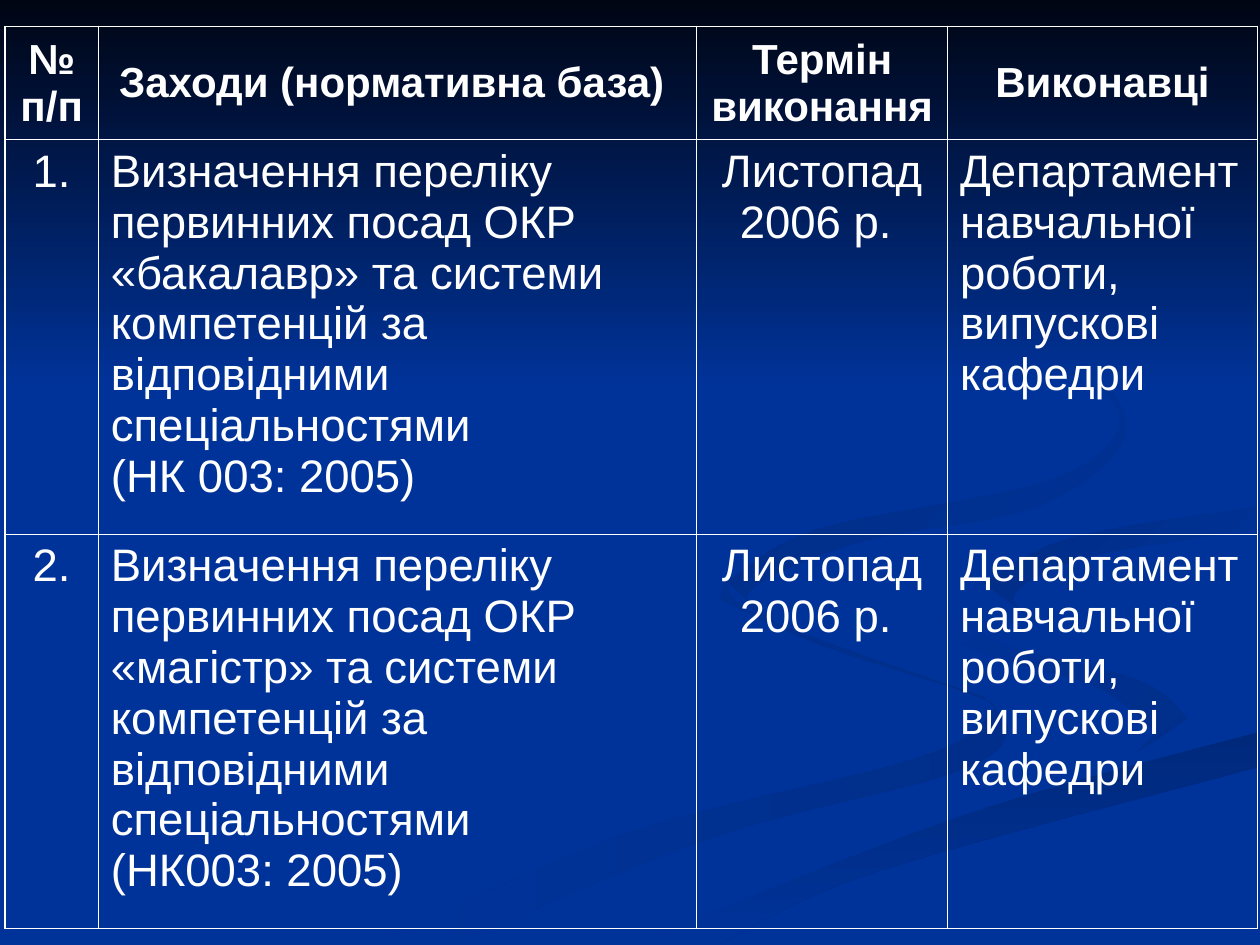
from lxml import etree
from pptx import Presentation
from pptx.dml.color import RGBColor
from pptx.enum.shapes import MSO_SHAPE
from pptx.enum.text import MSO_ANCHOR, PP_ALIGN
from pptx.oxml.ns import qn
from pptx.util import Inches, Pt

LEFT, CENTER = PP_ALIGN.LEFT, PP_ALIGN.CENTER
TOP, MIDDLE = MSO_ANCHOR.TOP, MSO_ANCHOR.MIDDLE
RECTANGLE = MSO_SHAPE.RECTANGLE

COLORS = {
    "background": "003399",
    "night": "000514",
    "shade_soft": "002E8A",
    "shade_deep": "00297C",
    "shade_tail": "002C85",
    "shade_loop": "002B81",
    "white": "FFFFFF",
}

FONT = "Arial"
OUTER_LINE, INNER_LINE = 1.08, 0.45
COLUMN_WIDTHS = [0.74, 4.75, 1.99, 2.46]
ROW_HEIGHTS = [0.9, 3.13, 3.13]
COLUMN_ALIGNMENTS = [CENTER, LEFT, CENTER, LEFT]
TERM = "Листопад 2006 р. "
EXECUTORS = "Департамент навчальної роботи, випускові кафедри"
MEASURE = ("Визначення переліку первинних посад ОКР «{}» та системи компетенцій "
           "за відповідними спеціальностями \v({}: 2005)")
ROWS = [
    ["№ п/п", "Заходи (нормативна база) ", "Термін виконання", "Виконавці"],
    ["1.", MEASURE.format("бакалавр", "НК 003"), TERM, EXECUTORS],
    ["2.", MEASURE.format("магістр", "НК003"), TERM, EXECUTORS],
]

# Edges that neighbouring ribbons share, in inches
CRESCENT_EDGE = [(7.24, 4.64), (7.92, 5.09), (9.05, 5.4), (9.43, 5.7)]
LOWER_EDGE = [(5.03, 7.49), (7.64, 6.47), (9.98, 5.81)]
TAIL_EDGE = [(7.81, 4.63), (8.5, 4.27), (9.98, 4.02)]

# Each ribbon: smooth edges joined into an outline, first colour, last colour, angle
RIBBONS = [
    ([[(7.81, 5.53), (6.82, 5.19), (5.94, 4.85), (5.75, 4.59)],
      [(5.72, 4.76), (6.54, 5.13), (7.7, 5.51), (7.86, 5.66), (7.27, 6.02),
       (4.99, 6.61), (3, 7.49)],
      [(3.61, 7.49), (5.64, 6.65), (7.56, 6.14), (8, 5.81), (7.81, 5.53)]],
     "shade_soft", "background", 180),
    ([CRESCENT_EDGE, [(9.43, 5.7), (8.94, 6.05)],
      [(9.18, 5.81), (8.68, 5.44), (7.66, 5.12), (7.24, 4.64)]],
     "shade_soft", "background", 225),
    ([LOWER_EDGE, [(9.98, 6.09), (6.95, 6.92), (5.71, 7.49)]],
     "shade_deep", "background", 90),
    ([CRESCENT_EDGE, [(9.43, 5.7), (8.69, 6.11), (6.63, 6.68), (4.77, 7.49)], LOWER_EDGE,
      [(9.98, 5.38), (8.48, 5.03), (7.81, 4.63)], TAIL_EDGE,
      [(9.98, 3.87), (8.3, 4.15), (7.24, 4.64)]],
     "background", "background", 0),
    ([TAIL_EDGE, [(9.98, 4.2), (8.59, 4.43), (8.05, 4.72), (8.26, 4.96)]],
     "background", "shade_tail", 225),
    ([[(7.62, 2.33), (8.54, 2.83), (8.94, 3.44), (8.25, 4.02), (6.83, 4.3),
       (5.94, 4.7), (6.22, 5)],
      [(5.77, 4.62), (6.49, 4.2), (8.3, 3.82), (8.89, 3.35), (8.46, 2.79)]],
     "background", "shade_loop", 225),
]
STEPS_PER_SEGMENT = 6


def color(name):
    return RGBColor.from_string(COLORS[name])


def smooth_edge(points):
    """Return points along a Catmull-Rom curve through the given points."""
    padded = [points[0], *points, points[-1]]
    curve = []
    for knots in zip(padded, padded[1:], padded[2:], padded[3:]):
        for step in range(STEPS_PER_SEGMENT):
            t = step / STEPS_PER_SEGMENT
            curve.append(tuple(
                b + t * (c - a) / 2 + t**2 * (2 * a - 5 * b + 4 * c - d) / 2
                + t**3 * (3 * b - a - 3 * c + d) / 2
                for a, b, c, d in zip(*knots)))
    return curve + [points[-1]]


def style_backdrop(shape, first, last, angle):
    """Fill with a clockwise-angled gradient, or solid when both colours agree."""
    shape.shadow.inherit = False
    shape.line.fill.background()
    if first == last:
        shape.fill.solid()
        shape.fill.fore_color.rgb = color(first)
        return
    shape.fill.gradient()
    shape.fill.gradient_angle = (360 - angle) % 360
    for stop, name in zip(shape.fill.gradient_stops, (first, last)):
        stop.color.rgb = color(name)


def add_ribbon(slide, edges, first, last, angle):
    points = [(Inches(x), Inches(y)) for edge in edges for x, y in smooth_edge(edge)]
    builder = slide.shapes.build_freeform(*points[0])
    builder.add_line_segments(points[1:], close=True)
    style_backdrop(builder.convert_to_shape(), first, last, angle)


def write_text(cell, text, *, size, bold=False, alignment=LEFT, anchor=TOP):
    cell.vertical_anchor = anchor
    paragraph = cell.text_frame.paragraphs[0]
    paragraph.text = text
    paragraph.alignment = alignment
    for run in paragraph.runs:
        run.font.name = FONT
        run.font.size = Pt(size)
        run.font.bold = bold
        run.font.color.rgb = color("white")


def set_borders(cell, widths):
    """Draw the left, right, top and bottom borders in the given point widths."""
    properties = cell._tc.get_or_add_tcPr()
    for index, (side, width) in enumerate(zip("LRTB", widths)):
        line = etree.Element(qn(f"a:ln{side}"), w=str(int(Pt(width))))
        fill = etree.SubElement(line, qn("a:solidFill"))
        etree.SubElement(fill, qn("a:srgbClr"), val=COLORS["white"])
        properties.insert(index, line)


def add_plan_table(slide):
    row_count, column_count = len(ROWS), len(COLUMN_WIDTHS)
    table = slide.shapes.add_table(
        row_count, column_count, Inches(0.04), Inches(0.21),
        Inches(sum(COLUMN_WIDTHS)), Inches(sum(ROW_HEIGHTS))).table
    table.first_row = table.horz_banding = False
    for column, width in zip(table.columns, COLUMN_WIDTHS):
        column.width = Inches(width)
    for row, height in zip(table.rows, ROW_HEIGHTS):
        row.height = Inches(height)

    for row_index, texts in enumerate(ROWS):
        for column_index, text in enumerate(texts):
            cell = table.cell(row_index, column_index)
            cell.fill.background()
            if row_index == 0:
                write_text(cell, text, size=24, bold=True, alignment=CENTER, anchor=MIDDLE)
            else:
                write_text(cell, text, size=26, alignment=COLUMN_ALIGNMENTS[column_index])
            outer_sides = (column_index == 0, column_index == column_count - 1,
                           row_index == 0, row_index == row_count - 1)
            set_borders(cell, [OUTER_LINE if outer else INNER_LINE for outer in outer_sides])


def main():
    presentation = Presentation()
    presentation.slide_width, presentation.slide_height = Inches(10), Inches(7.5)
    slide = presentation.slides.add_slide(presentation.slide_layouts[6])
    slide.background.fill.solid()
    slide.background.fill.fore_color.rgb = color("background")
    for ribbon in RIBBONS:
        add_ribbon(slide, *ribbon)
    sky = slide.shapes.add_shape(RECTANGLE, 0, 0, Inches(10), Inches(3.08))
    style_backdrop(sky, "night", "background", 90)
    add_plan_table(slide)
    presentation.save("out.pptx")


if __name__ == "__main__":
    main()
